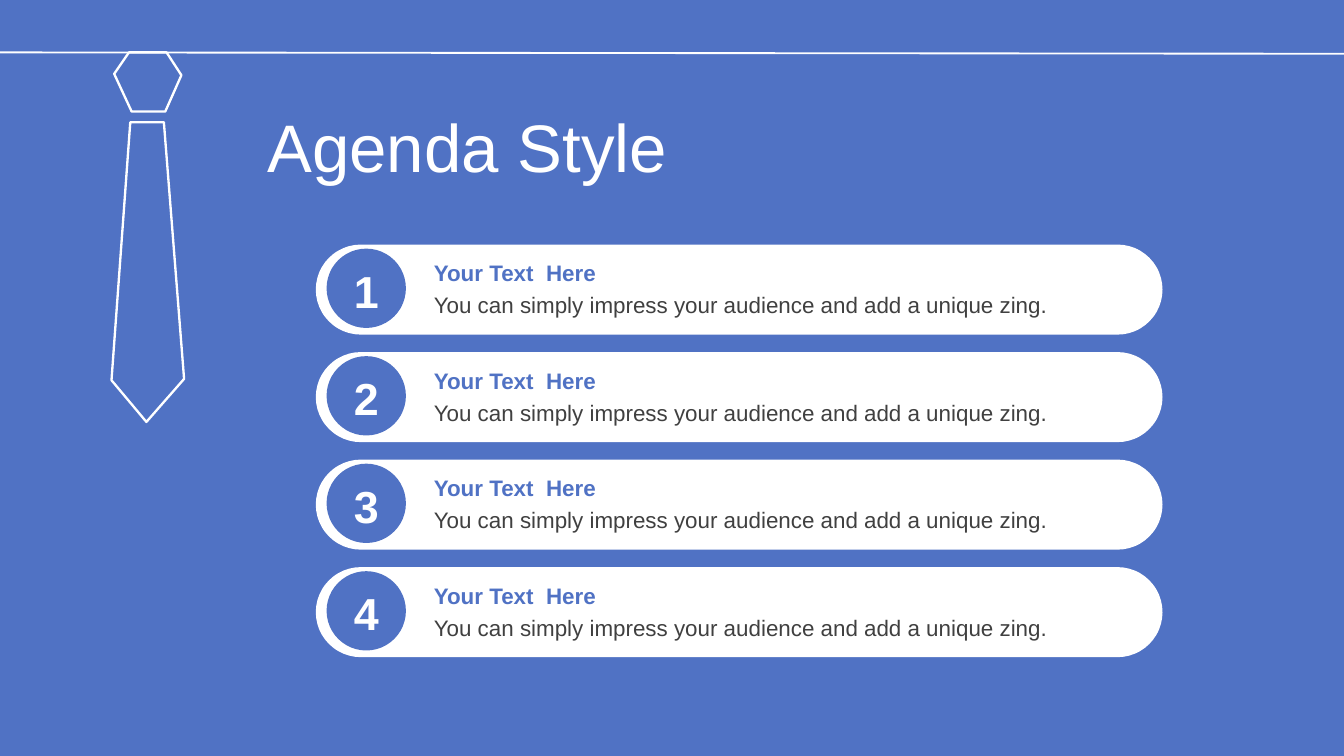
from pptx import Presentation
from pptx.dml.color import RGBColor
from pptx.enum import shapes, text
from pptx.oxml.ns import qn
from pptx.util import Inches, Pt
from lxml import etree

BLUE = RGBColor(0x50, 0x72, 0xC4)
WHITE = RGBColor(0xFF, 0xFF, 0xFF)
GREY = RGBColor(0x40, 0x40, 0x40)
FONT = "Arial"

# Content
TITLE = "Agenda Style"
HEAD = "Your Text  Here"
BODY = "You can simply impress your audience and add a unique zing."
ITEMS = [("1", HEAD, BODY), ("2", HEAD, BODY),
         ("3", HEAD, BODY), ("4", HEAD, BODY)]
KNOT = [(0.85, 0.55), (0.96, 0.39), (1.24, 0.39),
        (1.35, 0.56), (1.23, 0.83), (0.98, 0.83)]
BLADE = [(1.37, 2.82), (1.09, 3.14), (0.83, 2.83), (0.97, 0.91), (1.22, 0.91)]
TOP, STEP = 1.82, 0.8

# Widescreen slide, 16:9
deck = Presentation()
deck.slide_width = Inches(10)
deck.slide_height = deck.slide_width * 9 // 16
slide = deck.slides.add_slide(deck.slide_layouts[5])
slide.background.fill.solid()
slide.background.fill.fore_color.rgb = BLUE


def style(para, size, color, bold=False):
    font = para.runs[0].font
    font.name, font.size, font.bold = FONT, Pt(size), bold
    font.color.rgb = color


def add_text(words, box, size, color, bold=False, align=text.PP_ALIGN.LEFT):
    frame = slide.shapes.add_textbox(*map(Inches, box)).text_frame
    frame.word_wrap = True
    frame.auto_size = text.MSO_AUTO_SIZE.SHAPE_TO_FIT_TEXT
    frame.text = words
    frame.paragraphs[0].alignment = align
    style(frame.paragraphs[0], size, color, bold)


def add_solid(kind, box, color):
    shape = slide.shapes.add_shape(kind, *map(Inches, box))
    shape.shadow.inherit = False
    shape.fill.solid()
    shape.fill.fore_color.rgb = color
    shape.line.fill.background()
    return shape


def add_outline(points):
    first, *rest = [(Inches(x), Inches(y)) for x, y in points]
    pen = slide.shapes.build_freeform(*first)
    pen.add_line_segments(rest, close=True)
    shape = pen.convert_to_shape()
    shape.shadow.inherit = False
    shape.line.color.rgb = WHITE
    shape.line.width = Pt(1.25)
    return shape


# Title
title = slide.shapes.title
title.left, title.top = Inches(1.89), Inches(0.77)
title.width, title.height = Inches(8.11), Inches(0.63)
frame = title.text_frame
frame.text = TITLE
frame.auto_size = text.MSO_AUTO_SIZE.NONE
frame.vertical_anchor = text.MSO_ANCHOR.MIDDLE
frame.paragraphs[0].alignment = text.PP_ALIGN.LEFT
style(frame.paragraphs[0], 36, WHITE)

# Necktie
knot = add_outline(KNOT)
knot.fill.solid()
knot.fill.fore_color.rgb = BLUE
add_outline(BLADE).fill.background()

# Collar line
line = slide.shapes.add_connector(shapes.MSO_CONNECTOR.STRAIGHT, 0,
                                  Inches(0.39), Inches(10), Inches(0.4))
line.line.color.rgb = WHITE
line.line.width = Pt(1)
etree.SubElement(line._element.spPr, qn("a:effectLst"))

# Agenda rows
for row, (number, head, body) in enumerate(ITEMS):
    y = TOP + row * STEP
    pill = add_solid(shapes.MSO_SHAPE.ROUNDED_RECTANGLE,
                     (2.35, y, 6.3, 0.67), WHITE)
    pill.adjustments[0] = 0.5
    add_solid(shapes.MSO_SHAPE.OVAL, (2.43, y + 0.03, 0.59, 0.59), BLUE)
    add_text(number, (2.49, y + 0.09, 0.47, 0.5), 24, WHITE, True,
             text.PP_ALIGN.CENTER)
    add_text(body, (3.13, y + 0.3, 5.13, 0.3), 12, GREY)
    add_text(head, (3.13, y + 0.06, 5.13, 0.3), 12, BLUE, True)

deck.save("out.pptx")
